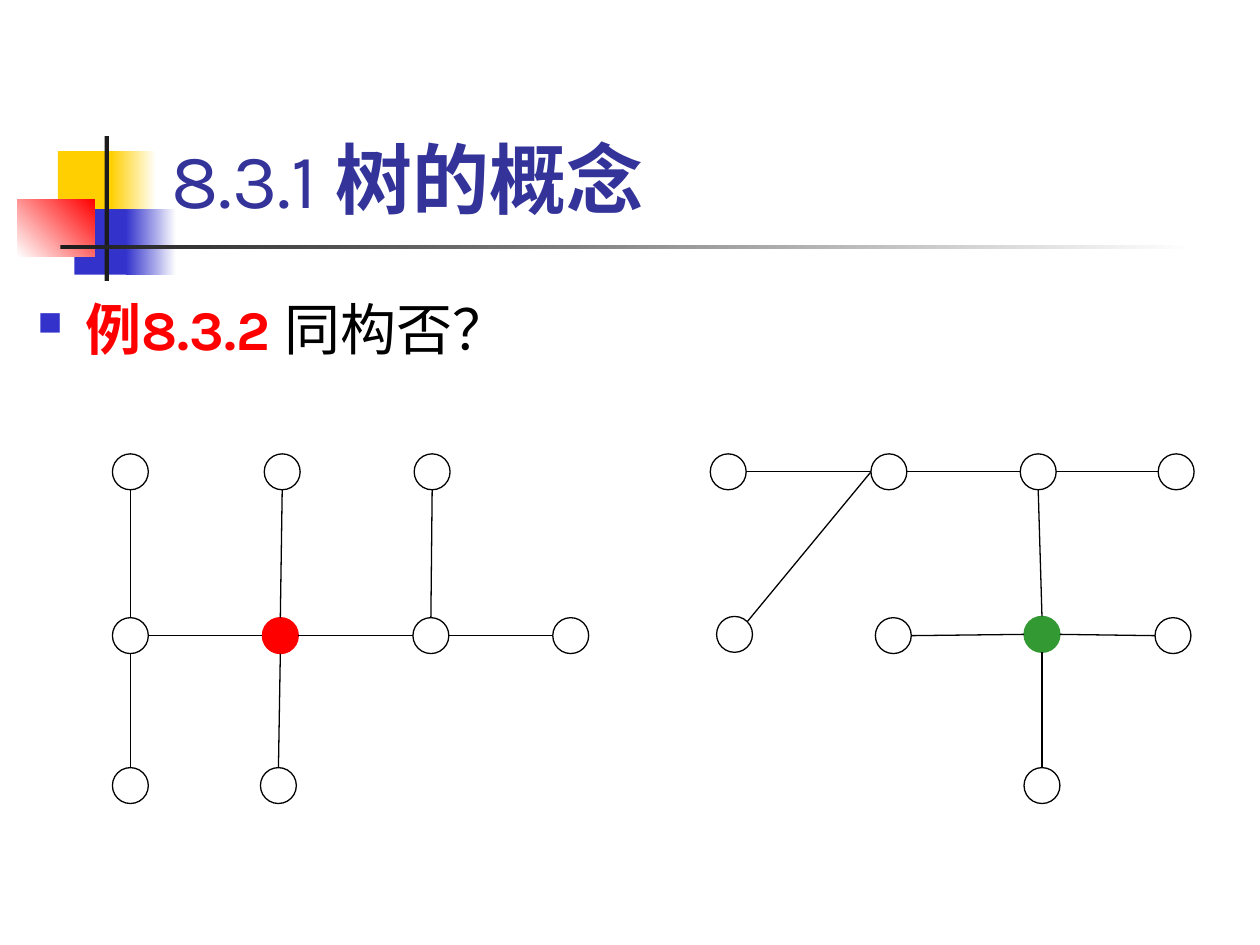
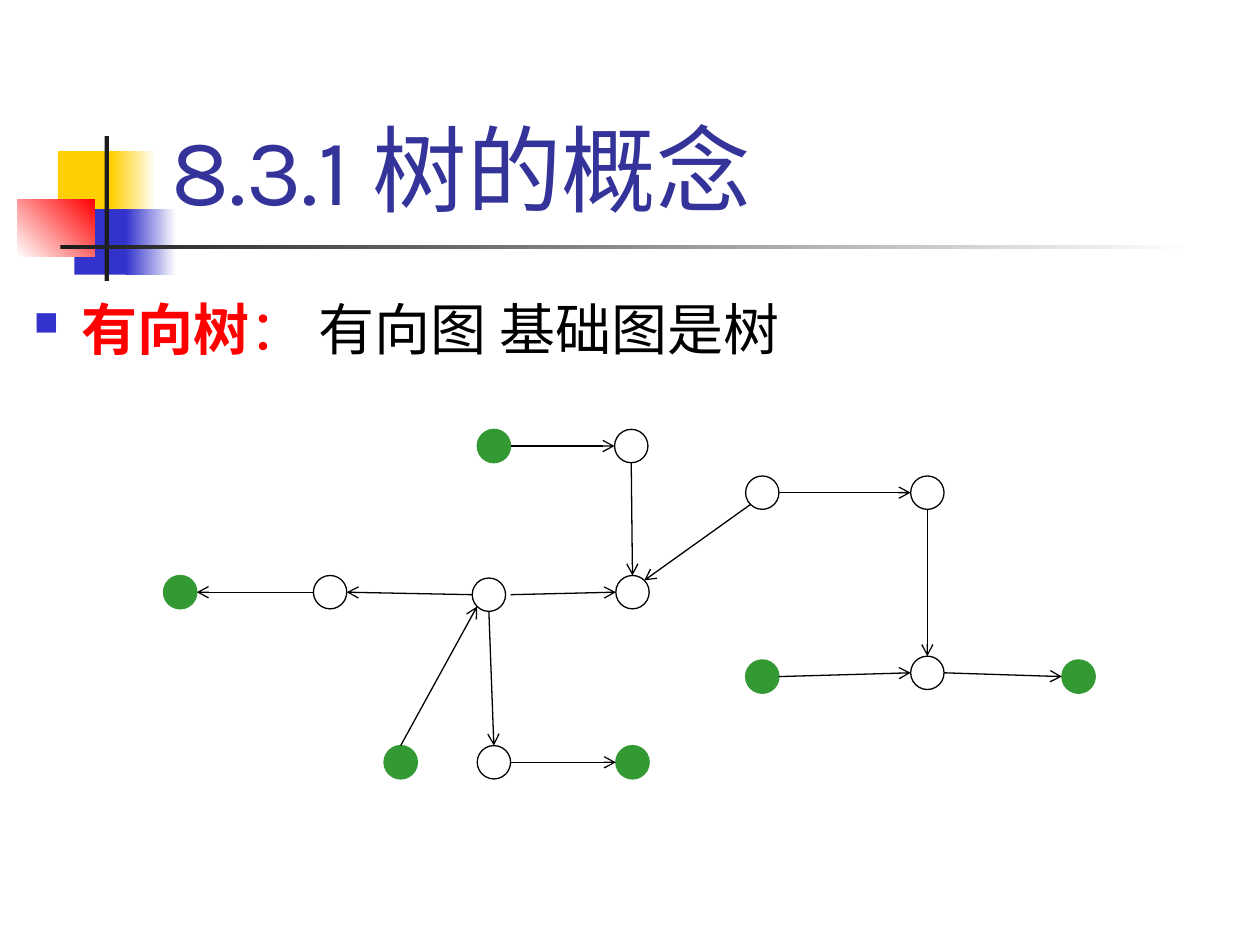
from dataclasses import dataclass
from math import sqrt
from typing import NamedTuple

from lxml.etree import SubElement
from pptx import Presentation
from pptx.dml.color import RGBColor
from pptx.enum.shapes import MSO_CONNECTOR, MSO_SHAPE
from pptx.enum.text import MSO_ANCHOR, MSO_AUTO_SIZE, PP_ALIGN
from pptx.oxml.ns import qn
from pptx.util import Inches, Pt

FONT = "Karla"
BLACK = RGBColor(0x00, 0x00, 0x00)
WHITE = RGBColor(0xFF, 0xFF, 0xFF)
RED = RGBColor(0xFF, 0x00, 0x00)
GREEN = RGBColor(0x33, 0x99, 0x33)
YELLOW = RGBColor(0xFF, 0xCF, 0x01)
BLUE = RGBColor(0x33, 0x33, 0xCC)
NAVY = RGBColor(0x33, 0x33, 0x99)
CHARCOAL = RGBColor(0x1C, 0x1C, 0x1C)

# The slide is a grid of 100 columns by 75 square rows.
COLS, ROWS = 100, 75
CELL = Inches(0.1)
LINE_WIDTH = Pt(0.75)
TITLE_BOX = (12.6, 2.3, 85.2, 16)
HANGING = 3.8

DIAGONAL = 1 / sqrt(2)
SIDES = {
    "N": (0, -1), "S": (0, 1), "W": (-1, 0), "E": (1, 0),
    "NE": (DIAGONAL, -DIAGONAL), "SW": (-DIAGONAL, DIAGONAL),
}


class Block(NamedTuple):
    box: tuple[float, float, float, float]
    color: RGBColor
    fade_to: RGBColor | None = None
    angle: float = 0


class Span(NamedTuple):
    text: str
    size: int
    color: RGBColor
    bold: bool = False


class Node(NamedTuple):
    x: float
    y: float
    fill: RGBColor = WHITE


class Edge(NamedTuple):
    start: str
    start_side: str
    end: str
    end_side: str
    gap: float = 0


@dataclass
class Graph:
    diameter: float
    nodes: dict[str, Node]
    edges: list[Edge]
    directed: bool = False


@dataclass
class Page:
    title: list[Span]
    body: list[Span]
    body_box: tuple[float, float, float, float]
    graph: Graph


ORNAMENT = [
    Block((4.6, 12, 4.8, 5.2), YELLOW),
    Block((8.8, 12, 3.6, 5.2), YELLOW, WHITE),
    Block((5.9, 16.6, 4.6, 5.2), BLUE),
    Block((10, 16.6, 4, 5.2), BLUE, WHITE),
    Block((1.4, 15.8, 6.1, 4.6), WHITE, RED, 45),
    Block((8.3, 10.8, 0.35, 11.5), CHARCOAL),
    Block((4.8, 19.45, 90, 0.35), CHARCOAL, WHITE),
]

TOP, MIDDLE, BOTTOM = 37.45, 50.45, 62.35
TWO_TREES = Graph(
    diameter=2.85,
    nodes={
        "a": Node(10.35, TOP), "b": Node(22.4, TOP), "c": Node(34.3, TOP),
        "d": Node(10.35, MIDDLE), "e": Node(22.25, MIDDLE, RED),
        "f": Node(34.2, MIDDLE), "g": Node(45.3, MIDDLE),
        "h": Node(10.35, BOTTOM), "i": Node(22.1, BOTTOM),
        "A": Node(57.8, TOP), "B": Node(70.55, TOP),
        "C": Node(82.4, TOP), "D": Node(93.35, TOP),
        "E": Node(58.3, 50.35), "F": Node(70.9, MIDDLE),
        "G": Node(82.7, 50.35, GREEN), "H": Node(93.1, MIDDLE),
        "I": Node(82.7, BOTTOM),
    },
    edges=[
        Edge("d", "E", "e", "W"), Edge("e", "E", "f", "W"),
        Edge("f", "E", "g", "W"), Edge("f", "N", "c", "S"),
        Edge("e", "N", "b", "S"), Edge("e", "S", "i", "N"),
        Edge("d", "N", "a", "S"), Edge("d", "S", "h", "N"),
        Edge("A", "E", "B", "W"), Edge("B", "E", "C", "W"),
        Edge("C", "E", "D", "W"), Edge("B", "W", "E", "NE"),
        Edge("C", "S", "G", "N"), Edge("G", "S", "I", "N"),
        Edge("G", "E", "H", "W"), Edge("F", "E", "G", "W"),
    ],
)

DIRECTED_TREE = Graph(
    diameter=2.65,
    directed=True,
    nodes={
        "a": Node(39.2, 35.4, GREEN), "b": Node(50.1, 35.4),
        "c": Node(14.3, 47, GREEN), "d": Node(26.2, 47),
        "e": Node(38.8, 47.2), "f": Node(50.2, 47),
        "g": Node(31.8, 60.5, GREEN), "h": Node(39.2, 60.5),
        "i": Node(50.2, 60.5, GREEN),
        "j": Node(60.5, 39.1), "k": Node(73.6, 39.1),
        "l": Node(60.5, 53.7, GREEN), "m": Node(73.6, 53.4),
        "n": Node(85.6, 53.7, GREEN),
    },
    edges=[
        Edge("a", "E", "b", "W"), Edge("b", "S", "f", "N"),
        Edge("e", "E", "f", "W", gap=0.4), Edge("e", "W", "d", "E"),
        Edge("d", "W", "c", "E"), Edge("g", "N", "e", "SW"),
        Edge("e", "S", "h", "N"), Edge("h", "E", "i", "W"),
        Edge("j", "SW", "f", "NE"), Edge("j", "E", "k", "W"),
        Edge("k", "S", "m", "N"), Edge("m", "E", "n", "W"),
        Edge("l", "E", "m", "W"),
    ],
)

PAGES = [
    Page(
        title=[Span("8.3.1 ", 44, NAVY), Span("树的概念", 44, NAVY, True)],
        body=[Span("例8.3.2 ", 32, RED, True), Span("同构否？", 32, BLACK)],
        body_box=(2, 20.2, 98, 55.6),
        graph=TWO_TREES,
    ),
    Page(
        title=[Span("8.3.1 树的概念", 54, NAVY)],
        body=[Span("有向树", 32, RED, True), Span("：", 32, RED),
              Span(" 有向图 基础图是树", 32, BLACK)],
        body_box=(1.7, 20.2, 97.1, 53.6),
        graph=DIRECTED_TREE,
    ),
]


def cells(*lengths: float) -> list[int]:
    return [round(length * CELL) for length in lengths]


def add_ornament(s, layout) -> None:
    """Draw the title ornament and move it to the layout both slides share."""
    for number, block in enumerate(ORNAMENT, start=100):
        sp = s.shapes.add_shape(MSO_SHAPE.RECTANGLE, *cells(*block.box))
        sp.shadow.inherit = False
        sp.line.fill.background()
        if block.fade_to is None:
            sp.fill.solid()
            sp.fill.fore_color.rgb = block.color
        else:
            sp.fill.gradient()
            sp.fill.gradient_angle = block.angle
            for stop, color in zip(sp.fill.gradient_stops, (block.color, block.fade_to)):
                stop.color.rgb = color
        sp.element.nvSpPr.cNvPr.set("id", str(number))
        layout.shapes.element.append(sp.element)


def write_spans(p, spans: list[Span]) -> None:
    for span in spans:
        r = p.add_run()
        r.text = span.text
        r.font.name = FONT
        r.font.size = Pt(span.size)
        r.font.bold = span.bold
        r.font.color.rgb = span.color


def add_title(s, spans: list[Span]) -> None:
    title = s.shapes.title
    title.left, title.top, title.width, title.height = cells(*TITLE_BOX)
    tf = title.text_frame
    tf.vertical_anchor = MSO_ANCHOR.BOTTOM
    tf.auto_size = MSO_AUTO_SIZE.NONE
    tf.paragraphs[0].alignment = PP_ALIGN.LEFT
    write_spans(tf.paragraphs[0], spans)


def add_bullet(p) -> None:
    pPr = p._p.get_or_add_pPr()
    indent, = cells(HANGING)
    pPr.set("marL", str(indent))
    pPr.set("indent", str(-indent))
    color = SubElement(pPr, qn("a:buClr"))
    SubElement(color, qn("a:srgbClr"), val=str(BLUE))
    SubElement(pPr, qn("a:buSzPct"), val="60000")
    SubElement(pPr, qn("a:buChar"), char="■")


def add_body(s, page: Page) -> None:
    tf = s.shapes.add_textbox(*cells(*page.body_box)).text_frame
    tf.word_wrap = True
    p = tf.paragraphs[0]
    add_bullet(p)
    p.line_spacing = 1.5
    write_spans(p, page.body)


def add_node(s, node: Node, diameter: float) -> None:
    box = (node.x - diameter / 2, node.y - diameter / 2, diameter, diameter)
    sp = s.shapes.add_shape(MSO_SHAPE.OVAL, *cells(*box))
    sp.shadow.inherit = False
    sp.fill.solid()
    sp.fill.fore_color.rgb = node.fill
    sp.line.color.rgb = BLACK if node.fill == WHITE else node.fill
    sp.line.width = LINE_WIDTH


def rim_point(node: Node, side: str, radius: float) -> list[int]:
    dx, dy = SIDES[side]
    return cells(node.x + dx * radius, node.y + dy * radius)


def add_edge(s, graph: Graph, edge: Edge) -> None:
    radius = graph.diameter / 2
    begin = rim_point(graph.nodes[edge.start], edge.start_side, radius + edge.gap)
    end = rim_point(graph.nodes[edge.end], edge.end_side, radius)
    cxn = s.shapes.add_connector(MSO_CONNECTOR.STRAIGHT, *begin, *end)
    cxn.line.color.rgb = BLACK
    cxn.line.width = LINE_WIDTH
    spPr = cxn.element.spPr
    if graph.directed:
        SubElement(spPr.find(qn("a:ln")), qn("a:tailEnd"), type="arrow")
    SubElement(spPr, qn("a:effectLst"))


def add_graph(s, graph: Graph) -> None:
    for node in graph.nodes.values():
        add_node(s, node, graph.diameter)
    for edge in graph.edges:
        add_edge(s, graph, edge)


def main() -> None:
    prs = Presentation()
    prs.slide_width, prs.slide_height = cells(COLS, ROWS)
    layout = prs.slide_layouts.get_by_name("Title Only")
    for number, page in enumerate(PAGES):
        s = prs.slides.add_slide(layout)
        if number == 0:
            add_ornament(s, layout)
        add_title(s, page.title)
        add_body(s, page)
        add_graph(s, page.graph)
    prs.save("out.pptx")


if __name__ == "__main__":
    main()
